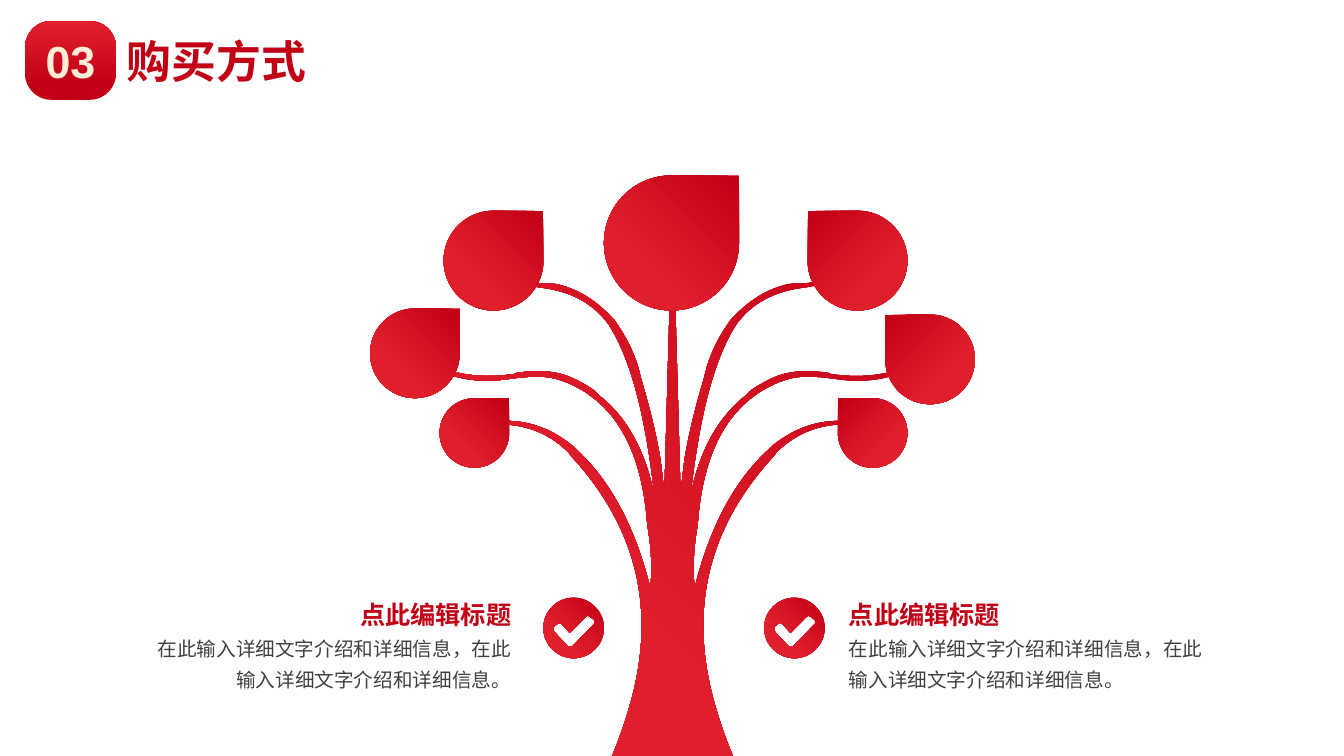
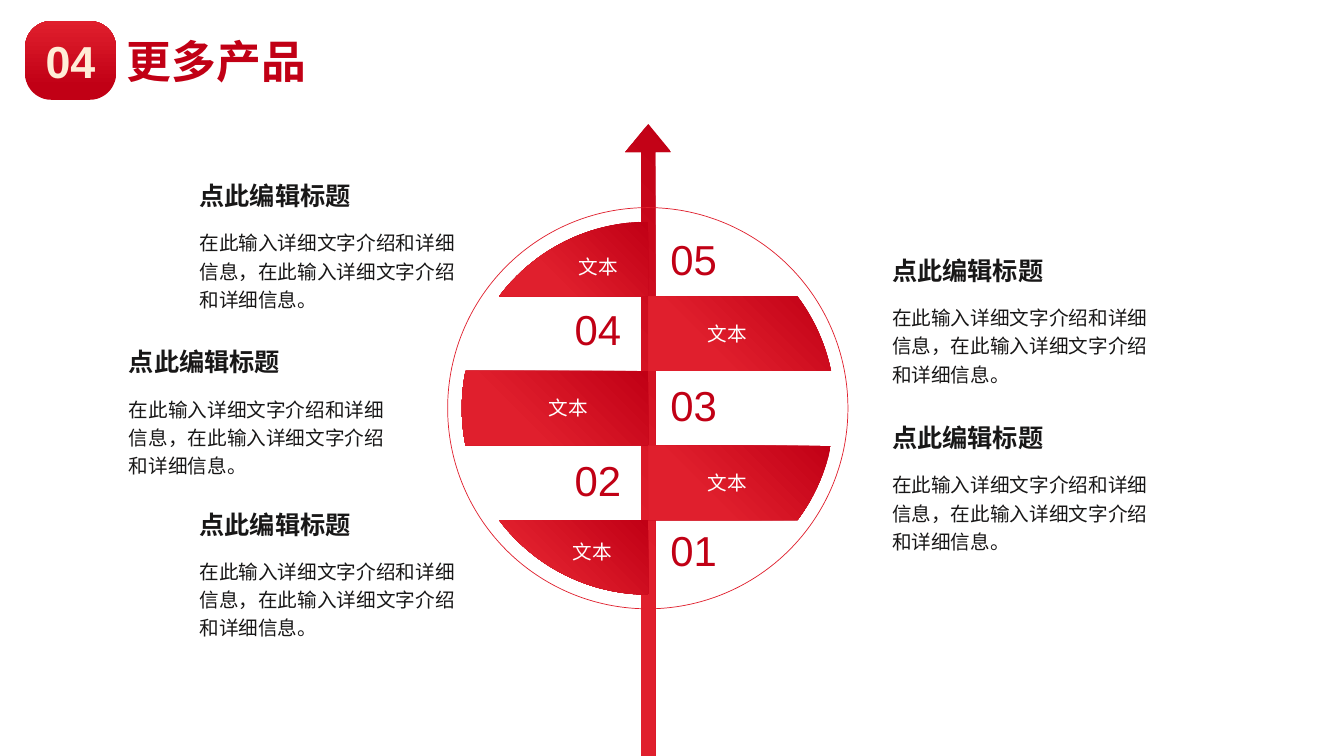
import math

from pptx import Presentation
from pptx.dml.color import RGBColor
from pptx.enum.shapes import MSO_SHAPE
from pptx.enum.text import MSO_ANCHOR, PP_ALIGN
from pptx.oxml.ns import qn
from pptx.util import Pt

PX = 9144  # 100 px to the inch
COLORS = {
    "deep": "C10015",
    "bright": "E01F2D",
    "cream": "FFEDD7",
    "gray": "404040",
    "ink": "181717",
    "white": "FFFFFF",
}
FONT = "Arial"
LEFT, CENTER, RIGHT = PP_ALIGN.LEFT, PP_ALIGN.CENTER, PP_ALIGN.RIGHT
MIDDLE = MSO_ANCHOR.MIDDLE
ROUNDED, TEARDROP, OVAL = MSO_SHAPE.ROUNDED_RECTANGLE, MSO_SHAPE.TEAR, MSO_SHAPE.OVAL

HEADING = "点此编辑标题"
DETAIL = "在此输入详细文字介绍和详细信息，在此输入详细文字介绍和详细信息。"

# Contours: a start point, then segments. Two numbers are a line's end,
# six are a cubic curve. The tree's right half is measured from its axis.
TREE_AXIS = 667
TREE_HALF = [
    (0, 198), (8, 488), (12, 455),
    (16, 432, 22, 406, 31, 376), (34, 364),
    (39, 348, 47, 332, 58, 317), (61, 314),
    (75, 299, 91, 289, 107, 284), (113, 282, 119, 281, 125, 281), (132, 281),
    (159, 278, 182, 265, 199, 241), (187, 266, 165, 280, 133, 285), (126, 286),
    (99, 290, 78, 302, 64, 321), (54, 336, 46, 355, 39, 378),
    (30, 408, 23, 446, 18, 491), (27, 447, 45, 414, 73, 392),
    (75, 389, 78, 387, 81, 385), (89, 380, 98, 375, 107, 372),
    (119, 368, 135, 367, 155, 370), (157, 371),
    (198, 377, 232, 369, 260, 348), (235, 372, 202, 382, 162, 376), (154, 375),
    (137, 373, 123, 373, 112, 377), (102, 380, 93, 385, 85, 390), (77, 396),
    (46, 421, 29, 463, 25, 521), (21, 543, 20, 564, 22, 583),
    (37, 523, 61, 478, 94, 447), (97, 444),
    (130, 416, 168, 410, 213, 427), (167, 414, 130, 422, 103, 449), (101, 452),
    (36, 522, 16, 603, 41, 695), (46, 713, 52, 731, 60, 750),
]
ARROW_HALF = [(0, 123), (23, 151), (7, 151), (7, 750)]
CHECK_MARK = [
    (50, 22), (46, 19), (44, 18), (42, 19), (26, 35), (18, 26), (15, 25), (14, 26),
    (10, 29), (10, 33), (24, 48), (26, 48), (29, 48), (50, 26), (51, 25),
]
# left, top, size, mirrored
LEAVES = [
    (599, 174, 134, False), (801, 209, 99, True), (367, 306, 89, False),
    (440, 209, 99, False), (878, 312, 89, True), (436, 395, 69, False),
    (831, 395, 69, True),
]
# number, its left and top, label's left and top, from the top band down
BANDS = [
    ("05", 654, 227, 538, 248), ("04", 559, 296, 666, 314), ("03", 654, 372, 508, 388),
    ("02", 559, 446, 666, 462), ("01", 654, 516, 532, 531),
]
CARDS = [(188, 174), (118, 339), (188, 500), (875, 248), (875, 414)]


def emu(length):
    return round(length * PX)


def color(name):
    return RGBColor.from_string(COLORS[name])


# Geometry
def pairs(segment):
    return list(zip(segment[::2], segment[1::2]))


def shift(contour, left, top):
    return [tuple(value + (top if index % 2 else left)
                  for index, value in enumerate(segment)) for segment in contour]


def with_mirror(half):
    """Close a right half by running back along its reflection in x = 0."""
    def reflect(points):
        return tuple(value for x, y in points for value in (-x, y))

    contour = half + [reflect([half[-1][-2:]])]
    for previous, segment in reversed(list(zip(half, half[1:]))):
        controls = pairs(segment)[:-1]
        contour.append(reflect(controls[::-1] + [previous[-2:]]))
    return contour


def on_circle(x, y, radius, angle):
    return x + radius * math.cos(angle), y + radius * math.sin(angle)


def arc(x, y, radius, start, end):
    """Cubic curve along a circle from one angle to another."""
    reach = 4 / 3 * math.tan((end - start) / 4) * radius
    x0, y0 = on_circle(x, y, radius, start)
    x3, y3 = on_circle(x, y, radius, end)
    return (x0 - reach * math.sin(start), y0 + reach * math.cos(start),
            x3 + reach * math.sin(end), y3 - reach * math.cos(end), x3, y3)


def circle(x, y, radius):
    quarter = math.pi / 2
    return [(x + radius, y)] + [arc(x, y, radius, index * quarter, (index + 1) * quarter)
                                for index in range(4)]


# Elements
def paint(shape, angle=135, dark_stop=0, bright_stop=0.69):
    shape.shadow.inherit = False
    shape.line.fill.background()
    shape.fill.gradient()
    shape.fill.gradient_angle = 360 - angle
    stops = shape.fill.gradient_stops
    for stop, name, position in zip(stops, ("deep", "bright"), (dark_stop, bright_stop)):
        stop.color.rgb = color(name)
        stop.position = position


def add_outline(slide, *contours):
    builder = None
    for contour in contours:
        points = [(emu(x), emu(y)) for segment in contour for x, y in pairs(segment)]
        if builder is None:
            builder = slide.shapes.build_freeform(*points[0], scale=1.0)
        else:
            builder.move_to(*points[0])
        builder.add_line_segments(points[1:], close=True)
    shape = builder.convert_to_shape()
    # Join each three lines of a curved segment into one cubic curve
    lines = iter(list(shape.element.iter(qn("a:lnTo"))))
    for contour in contours:
        for segment in contour[1:]:
            first = next(lines)
            if len(segment) == 6:
                first.tag = qn("a:cubicBezTo")
                for extra in (next(lines), next(lines)):
                    first.append(extra[0])
                    extra.getparent().remove(extra)
    paint(shape)


def add_preset(slide, kind, left, top, width, height):
    shape = slide.shapes.add_shape(kind, emu(left), emu(top), emu(width), emu(height))
    shape.shadow.inherit = False
    return shape


def style(paragraph, size, name, bold=False, align=LEFT, spacing=None):
    paragraph.alignment = align
    if spacing:
        paragraph.line_spacing = spacing
    for run in paragraph.runs:
        run.font.name = FONT
        run.font.size = Pt(size)
        run.font.bold = bold
        run.font.color.rgb = color(name)


def add_text(slide, left, top, width, height, text, size, name, wrap=True, **options):
    box = slide.shapes.add_textbox(emu(left), emu(top), emu(width), emu(height))
    box.text_frame.word_wrap = wrap
    box.text_frame.text = text
    style(box.text_frame.paragraphs[0], size, name, **options)
    return box


def add_header(slide, number, title):
    badge = add_preset(slide, ROUNDED, 25, 21, 90, 78)
    badge.adjustments[0] = 0.33
    paint(badge, angle=270, dark_stop=0.17, bright_stop=1)
    badge.text_frame.text = number
    badge.text_frame.vertical_anchor = MIDDLE
    style(badge.text_frame.paragraphs[0], 32, "cream", bold=True, align=CENTER)
    add_text(slide, 116, 29, 240, 64, title, 32, "deep", bold=True)


def add_leaf(slide, left, top, size, mirrored):
    leaf = add_preset(slide, TEARDROP, left, top, size, size)
    paint(leaf)
    if mirrored:
        leaf.element.spPr.get_or_add_xfrm().set("flipH", "1")


def add_choice(slide, badge_left, text_left, align):
    badge = (circle(30, 30, 30), CHECK_MARK)
    add_outline(slide, *(shift(contour, badge_left, 593) for contour in badge))
    box = add_text(slide, text_left, 581, 379, 111, HEADING, 18, "deep",
                   bold=True, align=align, spacing=1.3)
    paragraph = box.text_frame.add_paragraph()
    paragraph.text = DETAIL
    style(paragraph, 14, "gray", align=align, spacing=1.3)


def add_card(slide, left, top):
    add_text(slide, left, top + 46, 280, 73, DETAIL, 14, "ink", spacing=1.2)
    add_text(slide, left, top, 287, 46, HEADING, 18, "ink", wrap=False, bold=True)


def add_band(slide, index, axis, middle, radius, height):
    """Slice of a half disc; even slices lie left of the axis."""
    top = index * height - radius
    start, end = (math.asin(edge / radius) for edge in (top, top + height))
    if index % 2 == 0:
        start, end = math.pi - start, math.pi - end
    add_outline(slide, [
        (axis, middle + top),
        on_circle(axis, middle, radius, start),
        arc(axis, middle, radius, start, end),
        (axis, middle + top + height),
    ])


# Slides
def build_tree_slide(slide):
    add_outline(slide, shift(with_mirror(TREE_HALF), TREE_AXIS, 0))
    for leaf in LEAVES:
        add_leaf(slide, *leaf)
    add_choice(slide, 758, 832, LEFT)
    add_choice(slide, 539, 138, RIGHT)
    add_header(slide, "03", "购买方式")


def build_globe_slide(slide):
    axis, middle, radius = 643, 405, 185
    for left, top in CARDS:
        add_card(slide, left, top)
    # Arrow and ring
    add_outline(slide, shift(with_mirror(ARROW_HALF), axis, 0))
    ring = add_preset(slide, OVAL, 444, 206, 397, 398)
    ring.fill.background()
    ring.line.color.rgb = color("bright")
    ring.line.width = Pt(0.5)
    # Numbers, then bands, then labels
    for number, left, top, *_ in BANDS:
        add_text(slide, left, top, 68, 62, number, 29.9, "deep", wrap=False, align=CENTER)
    for index in range(len(BANDS)):
        add_band(slide, index, axis, middle, radius, 2 * radius / len(BANDS))
    for *_, left, top in BANDS:
        add_text(slide, left, top, 111, 34, "文本", 14, "white", align=CENTER)
    add_header(slide, "04", "更多产品")


def main():
    presentation = Presentation()
    presentation.slide_width = emu(1333)
    presentation.slide_height = emu(750)
    blank = presentation.slide_layouts[6]
    for build in (build_tree_slide, build_globe_slide):
        build(presentation.slides.add_slide(blank))
    presentation.save("out.pptx")


if __name__ == "__main__":
    main()
